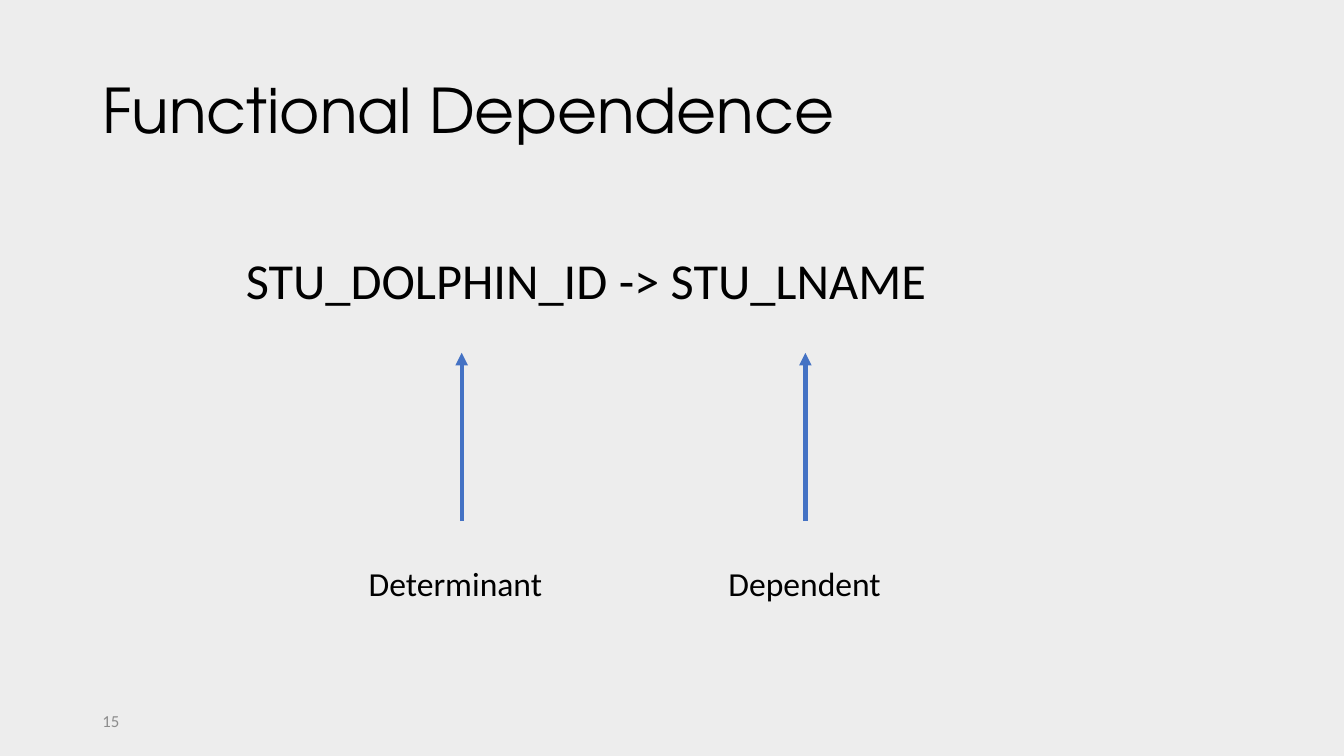
"""Build the Functional Dependence slide."""
from dataclasses import dataclass
from lxml.etree import SubElement
from pptx import Presentation
from pptx.dml.color import RGBColor
from pptx.enum.shapes import MSO_CONNECTOR as Conn
from pptx.enum.text import MSO_ANCHOR as Anchor, MSO_AUTO_SIZE as Fit, PP_ALIGN as Align
from pptx.oxml.ns import qn
from pptx.slide import Slide
from pptx.text.text import TextFrame
from pptx.util import Pt

PAPER = RGBColor(0xED, 0xED, 0xED)
BLACK = RGBColor(0x00, 0x00, 0x00)
GREY = RGBColor(0x8C, 0x8C, 0x8C)
BLUE = RGBColor(0x44, 0x72, 0xC4)
HEAD, BODY = "TeX Gyre Adventor", "Calibri"
MARGIN = 66
TIP, FOOT = 252, 372.2


@dataclass(frozen=True)
class Label:
    text: str
    left: float
    top: float
    width: float
    height: float
    size: float
    color: RGBColor = BLACK
    font: str = BODY
    fit: Fit = Fit.SHAPE_TO_FIT_TEXT
    wrap: bool = False
    anchor: Anchor = Anchor.TOP


@dataclass(frozen=True)
class Role:
    name: str
    left: float
    width: float
    arrow: float


TITLE = Label("Functional Dependence", MARGIN, 28.8, 828, 104.4, 44,
              font=HEAD, fit=Fit.NONE, wrap=True, anchor=Anchor.MIDDLE)
NUMBER = Label("15", MARGIN, 500.4, 216, 28.8, 12, GREY,
               fit=Fit.NONE, wrap=True, anchor=Anchor.MIDDLE)
RULE = Label("STU_DOLPHIN_ID -> STU_LNAME", 168.5, 174.3, 505.4, 50.9, 36)
ROLES = [
    Role("Determinant", 256.3, 139.7, 329.8),
    Role("Dependent", 513.3, 124.5, 575.3),
]


def fill_text(frame: TextFrame, label: Label) -> None:
    """Write and format the text of a label."""
    frame.text = label.text
    frame.word_wrap = label.wrap
    frame.auto_size = label.fit
    frame.vertical_anchor = label.anchor
    line = frame.paragraphs[0]
    line.alignment = Align.LEFT
    font = line.runs[0].font
    for key, value in {"name": label.font, "size": Pt(label.size)}.items():
        setattr(font, key, value)
    font.color.rgb = label.color


def add_label(slide: Slide, label: Label) -> None:
    """Add a text box for a label."""
    box = slide.shapes.add_textbox(
        Pt(label.left), Pt(label.top), Pt(label.width), Pt(label.height))
    fill_text(box.text_frame, label)


def set_title(slide: Slide, label: Label) -> None:
    """Place and format the title placeholder."""
    title = slide.shapes.title
    for key in ("left", "top", "width", "height"):
        setattr(title, key, Pt(getattr(label, key)))
    fill_text(title.text_frame, label)
    title.text_frame.paragraphs[0].line_spacing = 0.9


def add_arrow(slide: Slide, x: float) -> None:
    """Add an arrow that points up to the rule."""
    arrow = slide.shapes.add_connector(
        Conn.STRAIGHT, Pt(x), Pt(FOOT), Pt(x), Pt(TIP))
    arrow.line.color.rgb = BLUE
    arrow.line.width = Pt(3)
    SubElement(arrow.line._get_or_add_ln(), qn("a:tailEnd"), type="triangle")
    SubElement(arrow._element.spPr, qn("a:effectLst"))


def main() -> None:
    """Build and save the slide."""
    deck = Presentation()
    deck.slide_width, deck.slide_height = Pt(960), Pt(540)
    slide = deck.slides.add_slide(deck.slide_layouts.get_by_name("Title Only"))
    slide.background.fill.solid()
    slide.background.fill.fore_color.rgb = PAPER
    set_title(slide, TITLE)
    add_label(slide, NUMBER)
    add_label(slide, RULE)
    for role in ROLES:
        add_arrow(slide, role.arrow)
        add_label(slide, Label(role.name, role.left, 398.9, role.width, 36.4, 24))
    deck.save("out.pptx")


if __name__ == "__main__":
    main()
